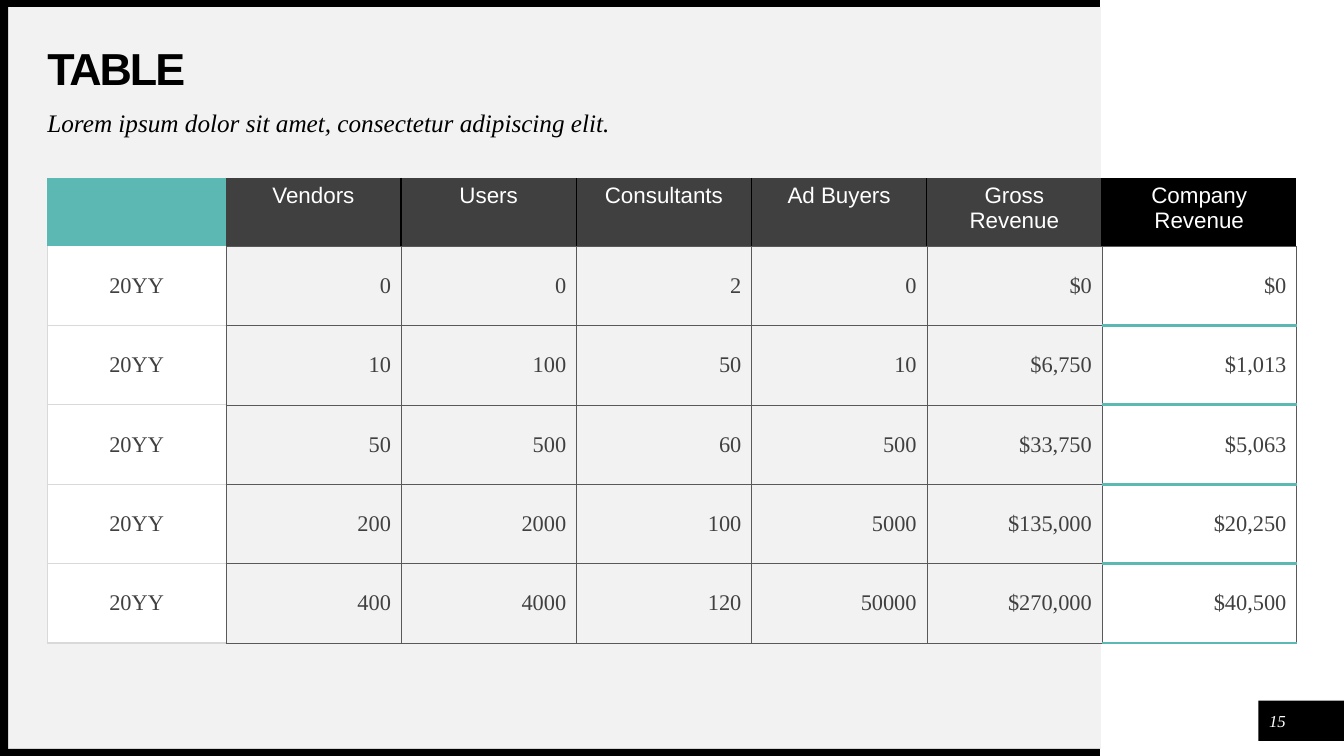
import pptx
import pptx.dml.color
import pptx.enum.shapes
import pptx.enum.text
import pptx.oxml
import pptx.oxml.ns
import pptx.util
from dataclasses import dataclass

Inches = pptx.util.Inches
Pt = pptx.util.Pt
Align = pptx.enum.text.PP_ALIGN
Anchor = pptx.enum.text.MSO_ANCHOR

TITLE = "TABLE"
SUBTITLE = "Lorem ipsum dolor sit amet, consectetur adipiscing elit."
PAGE_NUMBER = "15"
ROWS = [
    ("", "Vendors", "Users", "Consultants", "Ad Buyers", "Gross Revenue", "Company Revenue"),
    ("20YY", "0", "0", "2", "0", "$0", "$0"),
    ("20YY", "10", "100", "50", "10", "$6,750", "$1,013"),
    ("20YY", "50", "500", "60", "500", "$33,750", "$5,063"),
    ("20YY", "200", "2000", "100", "5000", "$135,000", "$20,250"),
    ("20YY", "400", "4000", "120", "50000", "$270,000", "$40,500"),
]
TABLE_WIDTH, TABLE_HEIGHT = 12.39, 4.61
YEAR_WIDTH, COMPANY_WIDTH, HEADER_HEIGHT = 1.77, 1.93, 0.67
HEADER_MARGIN = 0.11
LAST = len(ROWS[0]) - 1


@dataclass(frozen=True)
class Theme:
    black: str = "000000"
    white: str = "FFFFFF"
    panel: str = "F2F2F2"
    teal: str = "5CB8B3"
    dark: str = "404040"
    grid: str = "595959"
    pale: str = "D9D9D9"
    sans: str = "Arial"
    serif: str = "Times New Roman"
    title_size: int = 32
    subtitle_size: int = 18
    table_size: int = 16
    number_size: int = 12


THEME = Theme()
GRID = (THEME.grid, 0.25)
DIVIDER = (THEME.black, 1)
PALE = (THEME.pale, 1)
ACCENT = (THEME.teal, 2.25)

FRAME = [
    (0.08, 0.07, 10.84, 7.36, THEME.panel),
    (12.48, 6.95, 0.85, 0.4, THEME.black),
    (0, 7.43, 10.91, 0.07, THEME.black),
    (0, 0, 10.91, 0.07, THEME.black),
    (0, 0, 0.08, 7.5, THEME.black),
]


def rgb(color):
    return pptx.dml.color.RGBColor.from_string(color)


def style(span, font, size, color, bold=False, italic=False, spacing=0):
    span.font.name = font
    span.font.size = Pt(size)
    span.font.color.rgb = rgb(color)
    span.font.bold = bold
    span.font.italic = italic
    if spacing:
        span.font._element.set("spc", str(int(spacing * 100)))


def add_bar(page, left, top, width, height, color):
    bar = page.shapes.add_shape(pptx.enum.shapes.MSO_SHAPE.RECTANGLE, Inches(left),
                                Inches(top), Inches(width), Inches(height))
    bar.shadow.inherit = False
    bar.fill.solid()
    bar.fill.fore_color.rgb = rgb(color)
    bar.line.fill.background()


def place(box, left, top, width, height):
    box.left, box.top = Inches(left), Inches(top)
    box.width, box.height = Inches(width), Inches(height)


def prepare_frame(box, anchor):
    """Wrap the text, anchor it and clear its margins; return the first paragraph."""
    frame = box.text_frame
    frame.word_wrap = True
    frame.auto_size = pptx.enum.text.MSO_AUTO_SIZE.NONE
    frame.vertical_anchor = anchor
    frame.margin_left = frame.margin_right = frame.margin_top = frame.margin_bottom = 0
    return frame.paragraphs[0]


def add_text(page, text, place_at, anchor, align):
    box = page.shapes.add_textbox(*map(Inches, place_at))
    para = prepare_frame(box, anchor)
    para.text = text
    para.alignment = align
    return para


def cell_look(row, column):
    """Return the fill (or None) and the borders of one cell."""
    if row == 0:
        if column == 0:
            return THEME.teal, {}
        borders = {"B": GRID}
        if column > 1:
            borders["L"] = DIVIDER
        if column < LAST:
            borders["R"] = DIVIDER
        return (THEME.black if column == LAST else THEME.dark), borders
    if column == 0:
        borders = {"L": PALE, "R": GRID, "B": PALE}
        if row > 1:
            borders["T"] = PALE
        return THEME.white, borders
    if column == LAST:
        return None, {"L": GRID, "R": GRID, "T": GRID if row == 1 else ACCENT, "B": ACCENT}
    fill = THEME.panel if column == LAST - 1 else None
    return fill, dict.fromkeys("LRTB", GRID)


def set_borders(cell, borders):
    properties = cell._tc.get_or_add_tcPr()
    for side in "LRTB":
        if side in borders:
            color, width = borders[side]
            properties.append(pptx.oxml.parse_xml(
                f'<a:ln{side} {pptx.oxml.ns.nsdecls("a")} w="{int(Pt(width))}"><a:solidFill>'
                f'<a:srgbClr val="{color}"/></a:solidFill></a:ln{side}>'))


def add_revenue_table(page):
    graphic = page.shapes.add_table(len(ROWS), len(ROWS[0]), Inches(0.47), Inches(1.77),
                                    Inches(TABLE_WIDTH), Inches(TABLE_HEIGHT))
    table = graphic.table
    table.first_row = table.horz_banding = False
    style_id = graphic.element.find(".//" + pptx.oxml.ns.qn("a:tableStyleId"))
    style_id.text = "{2D5ABB26-0587-4C30-8999-92F81FD0307C}"

    middle_width = (TABLE_WIDTH - YEAR_WIDTH - COMPANY_WIDTH) / (LAST - 1)
    widths = [YEAR_WIDTH] + [middle_width] * (LAST - 1) + [COMPANY_WIDTH]
    body_count = len(ROWS) - 1
    heights = [HEADER_HEIGHT] + [(TABLE_HEIGHT - HEADER_HEIGHT) / body_count] * body_count
    for column, width in zip(table.columns, widths):
        column.width = Inches(width)
    for row, height in zip(table.rows, heights):
        row.height = Inches(height)

    for row, values in enumerate(ROWS):
        header = row == 0
        for column, value in enumerate(values):
            cell = table.cell(row, column)
            fill, borders = cell_look(row, column)
            set_borders(cell, borders)
            if fill:
                cell.fill.solid()
                cell.fill.fore_color.rgb = rgb(fill)
            else:
                cell.fill.background()
            cell.vertical_anchor = Anchor.TOP if header else Anchor.MIDDLE
            if header:
                cell.margin_left = cell.margin_right = Inches(HEADER_MARGIN)
            para = cell.text_frame.paragraphs[0]
            para.text = value
            para.alignment = Align.CENTER if header or column == 0 else Align.RIGHT
            for span in para.runs:
                style(span, THEME.sans if header else THEME.serif, THEME.table_size,
                      THEME.white if header else THEME.dark)


def main():
    deck = pptx.Presentation()
    deck.slide_width, deck.slide_height = Inches(13.33), Inches(7.5)
    page = deck.slides.add_slide(deck.slide_layouts[5])
    for bar in FRAME:
        add_bar(page, *bar)

    title = page.shapes.title
    title.element.getparent().append(title.element)  # in front of the panel
    place(title, 0.47, 0.47, 10.06, 0.47)
    para = prepare_frame(title, Anchor.MIDDLE)
    para.text = TITLE
    para.alignment = Align.LEFT
    para.line_spacing = 0.9
    style(para.runs[0], THEME.sans, THEME.title_size, THEME.black, bold=True, spacing=-1.5)

    para = add_text(page, SUBTITLE, (0.47, 1.1, 10.06, 0.39), Anchor.TOP, Align.LEFT)
    para.line_spacing = 0.9
    style(para.runs[0], THEME.serif, THEME.subtitle_size, THEME.black, italic=True)

    add_revenue_table(page)

    para = add_text(page, PAGE_NUMBER, (12.52, 7, 0.3, 0.3), Anchor.MIDDLE, Align.CENTER)
    style(para.runs[0], THEME.serif, THEME.number_size, THEME.white, italic=True)
    deck.save("out.pptx")


if __name__ == "__main__":
    main()
